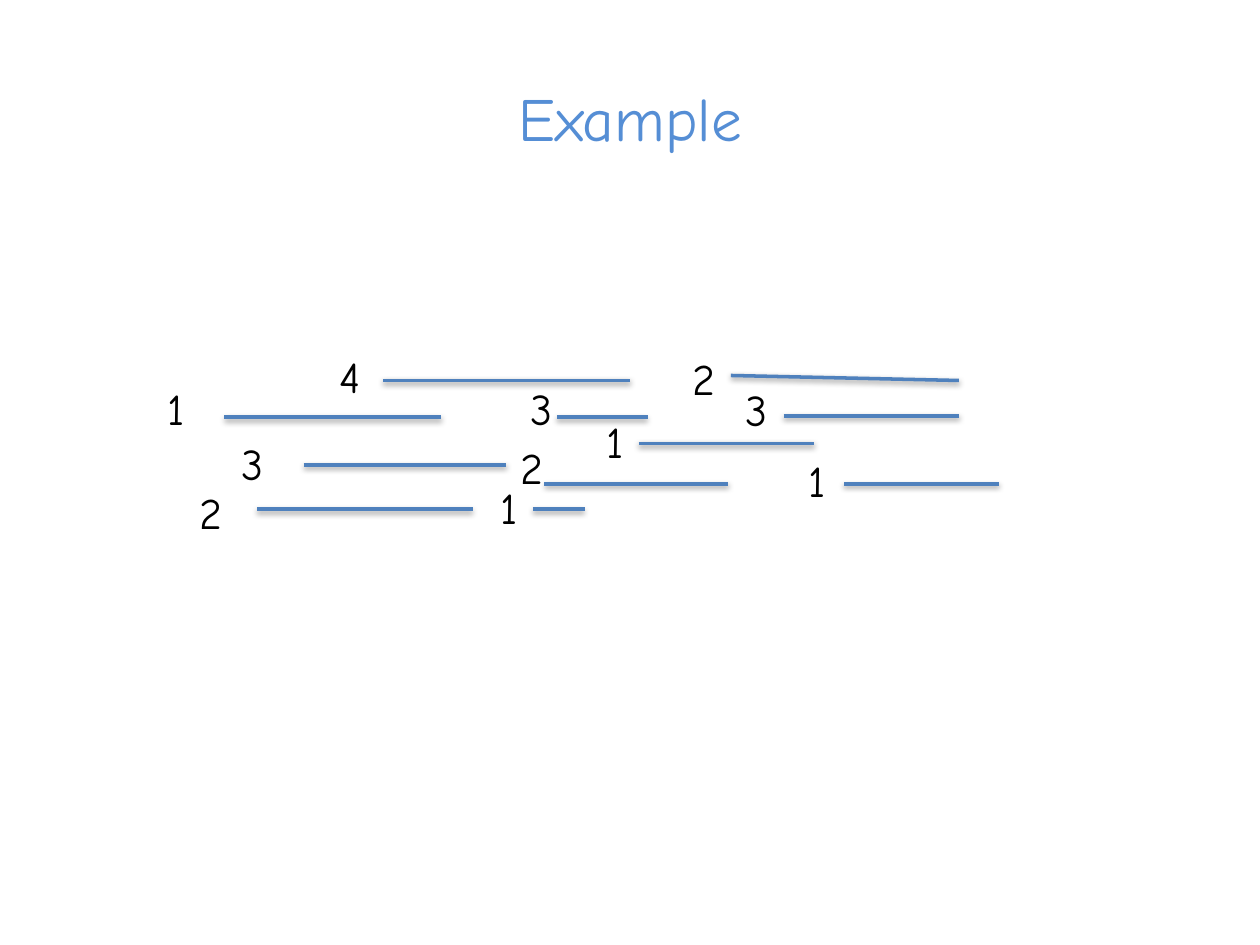
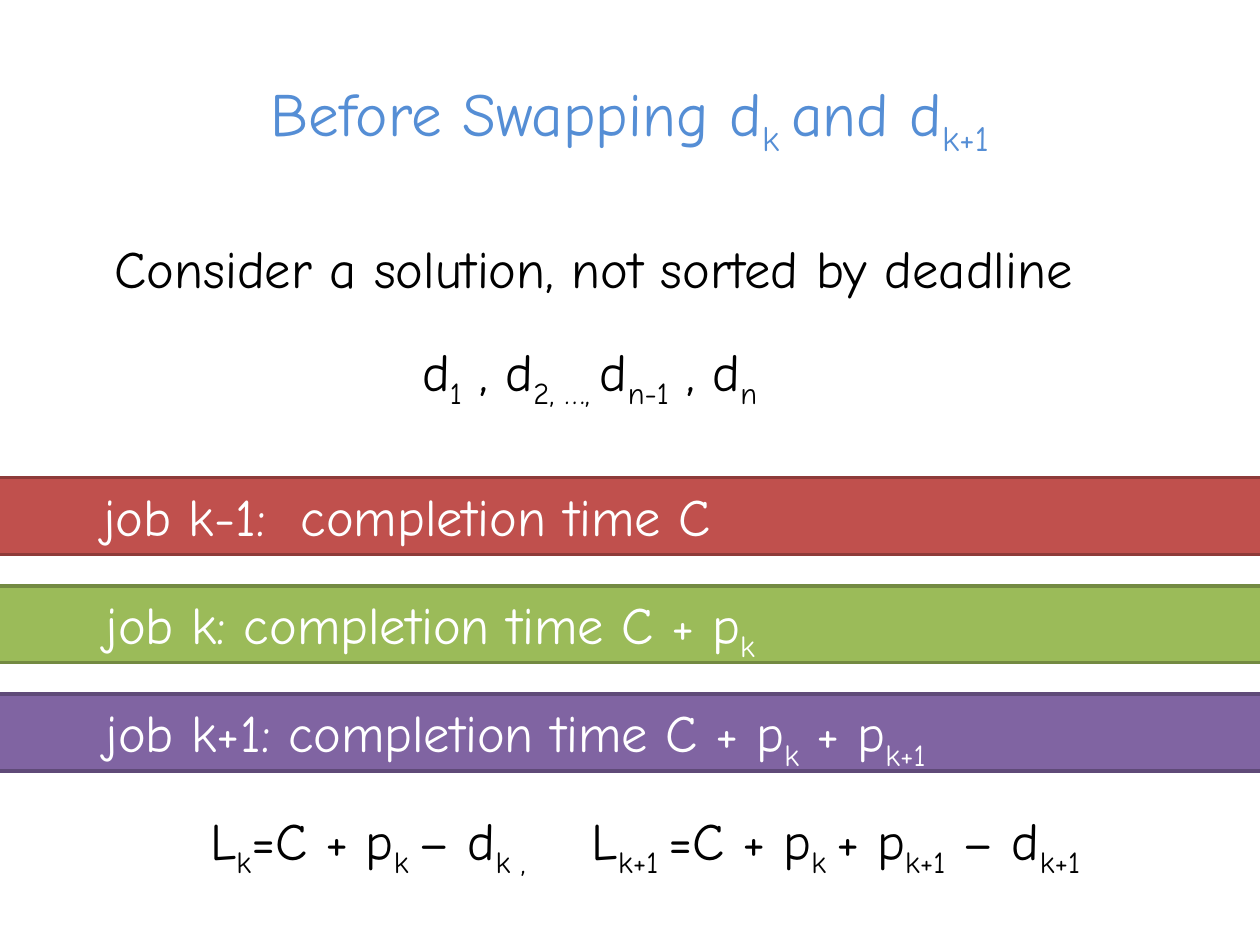
"""Build two slides on scheduling jobs by deadline."""
import pptx
import pptx.dml.color
import pptx.enum.shapes
import pptx.enum.text
import pptx.oxml
import pptx.oxml.ns
import pptx.util

RGBColor = pptx.dml.color.RGBColor
Align = pptx.enum.text.PP_ALIGN
Anchor = pptx.enum.text.MSO_ANCHOR

BLACK = RGBColor(0x00, 0x00, 0x00)
WHITE = RGBColor(0xFF, 0xFF, 0xFF)
TITLE_BLUE = RGBColor(0x55, 0x8E, 0xD5)
JOB_BLUE = RGBColor(0x4F, 0x81, 0xBD)
RED, DARK_RED = RGBColor(0xC0, 0x50, 0x4D), RGBColor(0x8E, 0x3B, 0x39)
GREEN, DARK_GREEN = RGBColor(0x9B, 0xBB, 0x59), RGBColor(0x73, 0x8A, 0x42)
PURPLE, DARK_PURPLE = RGBColor(0x80, 0x64, 0xA2), RGBColor(0x5F, 0x4A, 0x78)

FONT = "Comic Neue"
TITLE_SIZE, BODY_SIZE, NUMBER_SIZE = 35, 30, 25
COLUMNS, ROWS = 100, 75
TEXT_ROWS, NUMBER_ROWS, NUMBER_COLUMNS = 6.1, 5.2, 33.3
INSET = 1
BAND_TOP, BAND_STEP, BAND_WIDTH = 37.9, 8.6, 104.8

DRAWING = pptx.oxml.ns.nsdecls("a")
LINE_SHADOW = (
    f'<a:effectLst {DRAWING}><a:outerShdw blurRad="40000" dist="20000" dir="5400000" '
    'rotWithShape="0"><a:srgbClr val="000000"><a:alpha val="38000"/></a:srgbClr>'
    "</a:outerShdw></a:effectLst>"
)

JOBS = [
    (1, -2.7, 29.8, 17.8, 33.1, 35, 33.1),
    (2, 0.1, 38.1, 20.4, 40.4, 37.5, 40.4),
    (3, 3.4, 34.2, 24.1, 36.9, 40.2, 36.9),
    (4, 11.1, 27.3, 30.4, 30.2, 50, 30.2),
    (1, 23.8, 37.7, 42.3, 40.4, 46.4, 40.4),
    (2, 25.6, 34.5, 43.2, 38.4, 57.8, 38.4),
    (3, 26.3, 29.8, 44.2, 33.1, 51.4, 33.1),
    (1, 32.2, 32.4, 50.7, 35.2, 64.6, 35.2),
    (2, 39.2, 27.4, 58, 29.8, 76.1, 30.2),
    (3, 43.4, 29.9, 62.2, 33, 76.1, 33),
    (1, 48.2, 35.5, 67, 38.4, 79.3, 38.4),
]

BANDS = [
    ("job k-1:  completion time C", -2.4, 10.6, RED, DARK_RED),
    ("job k: completion time C + p|k", -0.8, 9.2, GREEN, DARK_GREEN),
    ("job k+1: completion time C + p|k| + p|k+1", -0.8, 9.2, PURPLE, DARK_PURPLE),
]


class SlideBuilder:
    """Hold the deck's style and current page, and draw on a grid."""

    def __init__(self, deck):
        """Keep the deck and measure one grid cell."""
        self.deck = deck
        self.page = None
        self.column = deck.slide_width / COLUMNS
        self.row = deck.slide_height / ROWS

    def across(self, columns):
        """Turn columns into a length."""
        return pptx.util.Emu(round(columns * self.column))

    def down(self, rows):
        """Turn rows into a length."""
        return pptx.util.Emu(round(rows * self.row))

    def area(self, left, top, width, height):
        """Turn a grid area into four lengths."""
        return self.across(left), self.down(top), self.across(width), self.down(height)

    def set_text(self, shape, text, size, color, align=Align.LEFT,
                 anchor=Anchor.TOP, inset=INSET, tab=None):
        """Set text in which every second part between bars is a subscript."""
        frame = shape.text_frame
        frame.word_wrap = True
        frame.auto_size = pptx.enum.text.MSO_AUTO_SIZE.SHAPE_TO_FIT_TEXT
        frame.vertical_anchor = anchor
        frame.margin_left = self.across(inset)
        para = frame.paragraphs[0]
        para.alignment = align
        if tab:
            para._p.get_or_add_pPr().append(pptx.oxml.parse_xml(
                f'<a:tabLst {DRAWING}><a:tab pos="{self.across(tab)}" algn="l"/></a:tabLst>'))
        for index, part in enumerate(text.split("|")):
            span = para.add_run()
            span.text = part
            span.font.name = FONT
            span.font.size = pptx.util.Pt(size)
            span.font.color.rgb = color
            if index % 2:
                span._r.get_or_add_rPr().set("baseline", "-25000")

    def start(self, title):
        """Add a page and format its title."""
        self.page = self.deck.slides.add_slide(self.deck.slide_layouts.get_by_name("Title Only"))
        box = self.page.shapes.title
        box.left, box.top, box.width, box.height = self.area(5, 5.8, 90, 6.9)
        self.set_text(box, title, TITLE_SIZE, TITLE_BLUE, Align.CENTER, Anchor.MIDDLE)

    def text(self, text, left, top, width, height=TEXT_ROWS, size=BODY_SIZE, **style):
        """Add a black text box."""
        box = self.page.shapes.add_textbox(*self.area(left, top, width, height))
        self.set_text(box, text, size, BLACK, **style)

    def line(self, left, top, right, bottom):
        """Add a shadowed job line."""
        line = self.page.shapes.add_connector(
            pptx.enum.shapes.MSO_CONNECTOR.STRAIGHT,
            self.across(left), self.down(top), self.across(right), self.down(bottom))
        line.line.color.rgb = JOB_BLUE
        line.line.width = pptx.util.Pt(2)
        line._element.spPr.append(pptx.oxml.parse_xml(LINE_SHADOW))

    def band(self, text, left, top, inset, fill, edge):
        """Add a coloured band that runs across the page."""
        band = self.page.shapes.add_shape(
            pptx.enum.shapes.MSO_SHAPE.RECTANGLE,
            *self.area(left, top, BAND_WIDTH, TEXT_ROWS))
        band.shadow.inherit = False
        band.fill.solid()
        band.fill.fore_color.rgb = fill
        band.line.color.rgb = edge
        band.line.width = pptx.util.Pt(2)
        self.set_text(band, text, BODY_SIZE, WHITE, inset=inset)


def draw_example(builder):
    """Draw the jobs as numbered lines."""
    builder.start("Example")
    for _, _, _, *ends in JOBS:
        builder.line(*ends)
    for number, left, top, *_ in JOBS:
        builder.text(str(number), left, top, NUMBER_COLUMNS, NUMBER_ROWS,
                     NUMBER_SIZE, align=Align.CENTER)


def draw_before_swapping(builder):
    """Show completion times and lateness before the swap."""
    builder.start("Before Swapping d|k |and d|k+1")
    builder.text("Consider a solution, not sorted by deadline", 8.1, 18.2, 86.9)
    builder.text("d|1| , d|2, …, |d|n-1| , d|n", 20.2, 26.4, 79.8, inset=13.3)
    for index, (text, left, inset, fill, edge) in enumerate(BANDS):
        builder.band(text, left, BAND_TOP + index * BAND_STEP, inset, fill, edge)
    builder.text("L|k|=C + p|k |– d|k ,|\tL|k+1 |=C + p|k |+ p|k+1| – d|k+1",
                 15.7, 63.6, 84.3, tab=30.3)


def main():
    """Build and save the deck."""
    deck = pptx.Presentation()
    deck.slide_width = pptx.util.Inches(10)
    deck.slide_height = pptx.util.Inches(7.5)
    builder = SlideBuilder(deck)
    draw_example(builder)
    draw_before_swapping(builder)
    deck.save("out.pptx")


if __name__ == "__main__":
    main()
